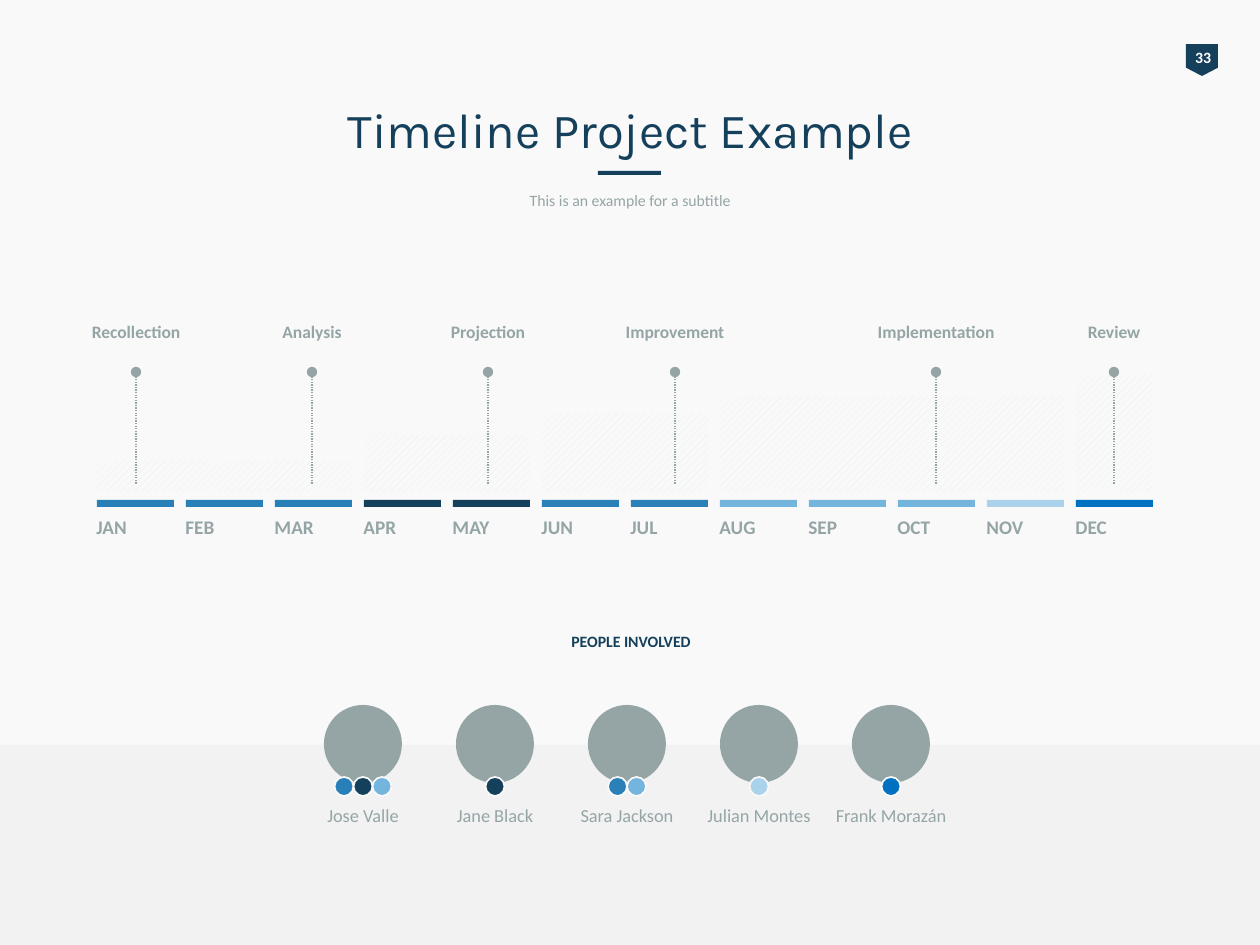
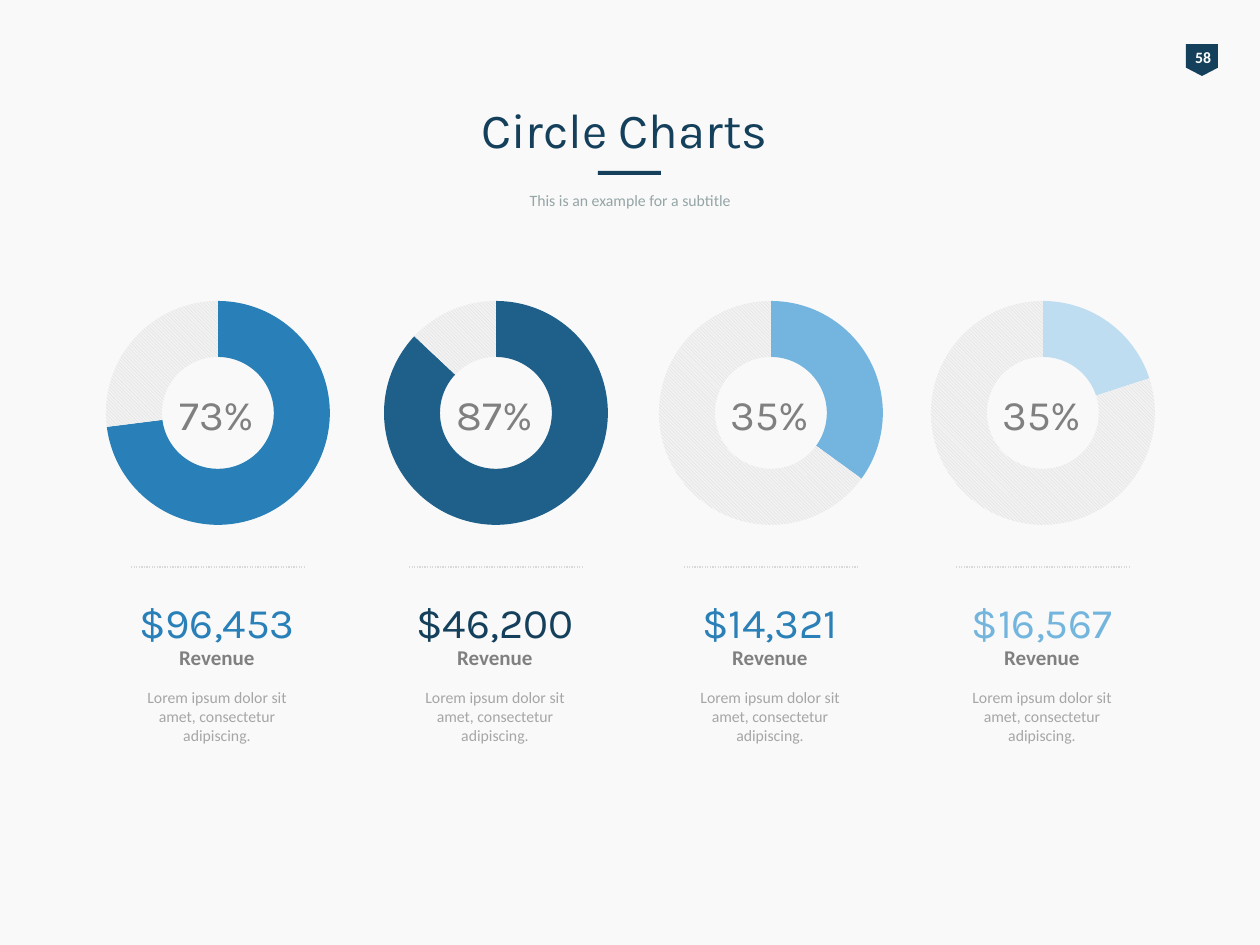
from dataclasses import dataclass

from pptx import Presentation
from pptx.chart.data import CategoryChartData
from pptx.dml.color import RGBColor
from pptx.enum.chart import XL_CHART_TYPE
from pptx.enum.dml import MSO_LINE, MSO_PATTERN
from pptx.enum.shapes import MSO_CONNECTOR, MSO_SHAPE
from pptx.enum.text import MSO_ANCHOR, MSO_AUTO_SIZE, PP_ALIGN
from pptx.oxml import parse_xml
from pptx.oxml.ns import nsdecls, qn
from pptx.util import Emu, Pt

RECT, OVAL, PENTAGON = MSO_SHAPE.RECTANGLE, MSO_SHAPE.OVAL, MSO_SHAPE.PENTAGON
LEFT, CENTER = PP_ALIGN.LEFT, PP_ALIGN.CENTER
MIDDLE, TOP = MSO_ANCHOR.MIDDLE, MSO_ANCHOR.TOP
NO_AUTOFIT = MSO_AUTO_SIZE.NONE
UP_HATCH = MSO_PATTERN.WIDE_UPWARD_DIAGONAL
DOWN_HATCH = MSO_PATTERN.DARK_DOWNWARD_DIAGONAL
DOTTED = MSO_LINE.ROUND_DOT
STRAIGHT = MSO_CONNECTOR.STRAIGHT
DOUGHNUT = XL_CHART_TYPE.DOUGHNUT
PX_PER_INCH = 126


@dataclass(frozen=True)
class Theme:
    # Fonts
    display: str = "Karla"
    text: str = "Calibri"
    # Colours
    paper: str = "F9F9F9"
    band: str = "F2F2F2"
    white: str = "FFFFFF"
    title: str = "14405C"
    navy: str = "15405B"
    steel: str = "1F608B"
    blue: str = "2980B9"
    ocean: str = "2A80B7"
    sky: str = "74B5DE"
    ring_sky: str = "74B5E0"
    ice: str = "ABD2EB"
    ring_ice: str = "BEDDF0"
    vivid: str = "0070C0"
    grey: str = "95A5A6"
    dark_grey: str = "808080"
    mid_grey: str = "A6A6A6"
    light_grey: str = "D9D9D9"
    hatch: str = "EAEDED"
    # Type sizes
    title_size: float = 28
    figure_size: float = 24
    chart_size: float = 18
    heading_size: float = 12
    month_size: float = 11
    name_size: float = 10.5
    label_size: float = 10
    small_size: float = 9


THEME = Theme()


def px(length):
    return Emu(round(length * 914400 / PX_PER_INCH))


def rgb(colour):
    return RGBColor.from_string(colour)


class Deck:
    def __init__(self, theme):
        self.theme = theme
        self.prs = Presentation()
        self.prs.slide_width, self.prs.slide_height = px(1260), px(945)
        self.paint(self.prs.slide_master.background.fill, theme.paper)
        self.slide = None

    def new_slide(self, number, title, subtitle):
        """Start a slide with its page badge, title, rule and subtitle."""
        t = self.theme
        self.slide = self.prs.slides.add_slide(self.prs.slide_layouts[1])
        heading, body = self.slide.placeholders
        self.place(heading, 63, 102, 1134, 54)
        heading.text_frame.margin_top = heading.text_frame.margin_bottom = 0
        self.set_text(heading, title, t.title_size, t.title, font=t.display, anchor=MIDDLE)
        self.place(body, 63, 184, 1134, 24)
        self.set_text(body, subtitle, t.small_size, t.grey)
        properties = body.text_frame.paragraphs[0]._p.get_or_add_pPr()
        properties.set("marL", "0")
        properties.set("indent", "0")
        properties.append(parse_xml(f"<a:buNone {nsdecls('a')}/>"))
        self.shape(RECT, 598, 171, 63, 4, t.navy)

        badge = self.shape(PENTAGON, 1186, 44, 32, 32, t.navy)
        badge.adjustments[0] = 0.26
        badge.rotation = 90
        self.text(number, 1182, 42, 42, 24, t.small_size, t.white, bold=True, wrap=False)

    def place(self, item, left, top, width, height):
        item.left, item.top = px(left), px(top)
        item.width, item.height = px(width), px(height)

    def set_text(self, item, words, size, colour, font=None, bold=False,
                 align=CENTER, anchor=TOP, wrap=True):
        frame = item.text_frame
        frame.text = words
        frame.word_wrap = wrap
        frame.auto_size = NO_AUTOFIT
        frame.vertical_anchor = anchor
        paragraph = frame.paragraphs[0]
        paragraph.alignment = align
        paragraph.space_before = Pt(0)
        style = paragraph.runs[0].font
        style.name, style.size, style.bold = font or self.theme.text, Pt(size), bold
        style.color.rgb = rgb(colour)

    def text(self, words, left, top, width, height, size, colour, **style):
        box = self.slide.shapes.add_textbox(px(left), px(top), px(width), px(height))
        self.set_text(box, words, size, colour, **style)

    def paint(self, fill, colour, pattern=None, back=None):
        if pattern is None:
            fill.solid()
        else:
            fill.patterned()
            fill.pattern = pattern
            fill.back_color.rgb = rgb(back)
        fill.fore_color.rgb = rgb(colour)

    def shape(self, kind, left, top, width, height, colour,
              pattern=None, back=None, outline=None):
        item = self.slide.shapes.add_shape(kind, px(left), px(top), px(width), px(height))
        item.shadow.inherit = False
        self.paint(item.fill, colour, pattern, back)
        if outline:
            item.line.color.rgb = rgb(outline)
            item.line.width = Pt(1)
        else:
            item.line.fill.background()
        return item

    def dotted_line(self, x1, y1, x2, y2, colour, pin=False):
        line = self.slide.shapes.add_connector(STRAIGHT, px(x1), px(y1), px(x2), px(y2))
        line.line.color.rgb = rgb(colour)
        line.line.width = Pt(0.75)
        line.line.dash_style = DOTTED
        properties = line._element.spPr
        if pin:
            head = parse_xml(f'<a:headEnd {nsdecls("a")} type="oval"/>')
            properties.find(qn("a:ln")).append(head)
        properties.append(parse_xml(f"<a:effectLst {nsdecls('a')}/>"))

    def ring(self, left, top, width, height, diameter, share, colour):
        """Doughnut with a coloured share and a hatched remainder."""
        t = self.theme
        data = CategoryChartData()
        data.categories = ["1", "2"]
        data.add_series("Series 1", [share, 100 - share])
        chart = self.slide.shapes.add_chart(
            DOUGHNUT, px(left), px(top), px(width), px(height), data).chart
        chart.has_legend = chart.has_title = False
        chart.font.name, chart.font.size = t.text, Pt(t.chart_size)
        chart.font.color.rgb = rgb(t.grey)
        plot = chart.plots[0]
        plot.has_data_labels = False
        plot.vary_by_categories = True
        done, rest = (plot.series[0].points[i].format for i in range(2))
        self.paint(done.fill, colour)
        self.paint(rest.fill, t.light_grey, DOWN_HATCH, t.band)
        for part in (done, rest):
            part.line.fill.background()

        # Hole size and a centred plot area
        area = chart._chartSpace.find(".//" + qn("c:plotArea"))
        area.find(".//" + qn("c:holeSize")).set("val", "82")
        layout = area.find(qn("c:layout"))
        if layout is not None:
            area.remove(layout)
        w, h = diameter / width, diameter / height
        sizes = {"x": (1 - w) / 2, "y": (1 - h) / 2, "w": w, "h": h}
        values = "".join(f'<c:{key} val="{value:.4f}"/>' for key, value in sizes.items())
        area.insert(0, parse_xml(
            f'<c:layout {nsdecls("c")}><c:manualLayout><c:layoutTarget val="inner"/>'
            f'<c:xMode val="edge"/><c:yMode val="edge"/>{values}'
            "</c:manualLayout></c:layout>"))


def timeline_slide(deck):
    t = deck.theme
    deck.new_slide("33", "Timeline Project Example", "This is an example for a subtitle")
    deck.shape(RECT, 0, 745, 1260, 200, t.band)

    # Months
    first_month, month_pitch, bar_width = 97, 89, 77
    months = "JAN FEB MAR APR MAY JUN JUL AUG SEP OCT NOV DEC".split()
    colours = ([t.blue] * 3 + [t.navy] * 2 + [t.ocean] * 2
               + [t.sky] * 3 + [t.ice, t.vivid])
    for i, (month, colour) in enumerate(zip(months, colours)):
        left = first_month + i * month_pitch
        deck.shape(RECT, left, 500, bar_width, 7, colour)
        deck.text(month, left - 13, 509, 80, 33, t.month_size, t.grey,
                  bold=True, align=LEFT)

    # Hatched phases: first month, number of months, height
    phase_bottom = 492
    for start, count, height in [(0, 3, 32), (3, 2, 57), (5, 2, 79), (7, 4, 96), (11, 1, 117)]:
        deck.shape(RECT, first_month + start * month_pitch, phase_bottom - height,
                   (count - 1) * month_pitch + bar_width, height,
                   t.hatch, UP_HATCH, t.paper)

    # Milestones: label, centre, label width
    milestones = [("Recollection", 136, 126), ("Analysis", 312, 126),
                  ("Projection", 488, 126), ("Improvement", 675, 126),
                  ("Implementation", 936, 152), ("Review", 1114, 126)]
    for label, x, width in milestones:
        deck.dotted_line(x, 372, x, 484, t.grey, pin=True)
        deck.text(label, x - width / 2, 315, width, 30, t.label_size, t.grey, bold=True)

    # People and the phases they work on
    deck.text("PEOPLE INVOLVED", 84, 626, 1094, 39, t.small_size, t.title, bold=True)
    people = [("Jose Valle", [t.blue, t.navy, t.sky]), ("Jane Black", [t.navy]),
              ("Sara Jackson", [t.ocean, t.sky]), ("Julian Montes", [t.ice]),
              ("Frank Morazán", [t.vivid])]
    avatar, dot, name_width = 78, 19, 144
    for i, (name, phases) in enumerate(people):
        x = 363 + i * 132
        deck.shape(OVAL, x - avatar / 2, 705, avatar, avatar, t.grey)
        for j, colour in enumerate(phases):
            deck.shape(OVAL, x + (j - len(phases) / 2) * dot, 777, dot, dot,
                       colour, outline=t.paper)
        deck.text(name, x - name_width / 2, 798, name_width, 39, t.name_size, t.grey)


def circle_charts_slide(deck):
    t = deck.theme
    deck.new_slide("58", "Circle Charts ", "This is an example for a subtitle")

    # Columns: centre, share, shown percentage, ring colour, revenue, revenue colour
    columns = [(218, 73, "73%", t.blue, "$96,453", t.blue),
               (496, 87, "87%", t.steel, "$46,200", t.navy),
               (771, 35, "35%", t.ring_sky, "$14,321", t.ocean),
               (1043, 20, "35%", t.ring_ice, "$16,567", t.sky)]
    for x, share, percent, ring_colour, revenue, revenue_colour in columns:
        deck.ring(x - 152, 283, 304, 260, 224, share, ring_colour)
        deck.dotted_line(x - 87, 567, x + 87, 567, t.light_grey)
        texts = [(percent, 382, 128, 63, t.figure_size, t.dark_grey, t.display, False),
                 (revenue, 590, 190, 84, t.figure_size, revenue_colour, t.display, False),
                 ("Revenue", 638, 204, 60, t.heading_size, t.dark_grey, t.text, True),
                 ("Lorem ipsum dolor sit amet, consectetur adipiscing.",
                  682, 190, 101, t.small_size, t.mid_grey, t.text, False)]
        for words, top, width, height, size, colour, font, bold in texts:
            deck.text(words, x - 1 - width / 2, top, width, height, size, colour,
                      font=font, bold=bold)


def main():
    deck = Deck(THEME)
    timeline_slide(deck)
    circle_charts_slide(deck)
    deck.prs.save("out.pptx")


if __name__ == "__main__":
    main()
